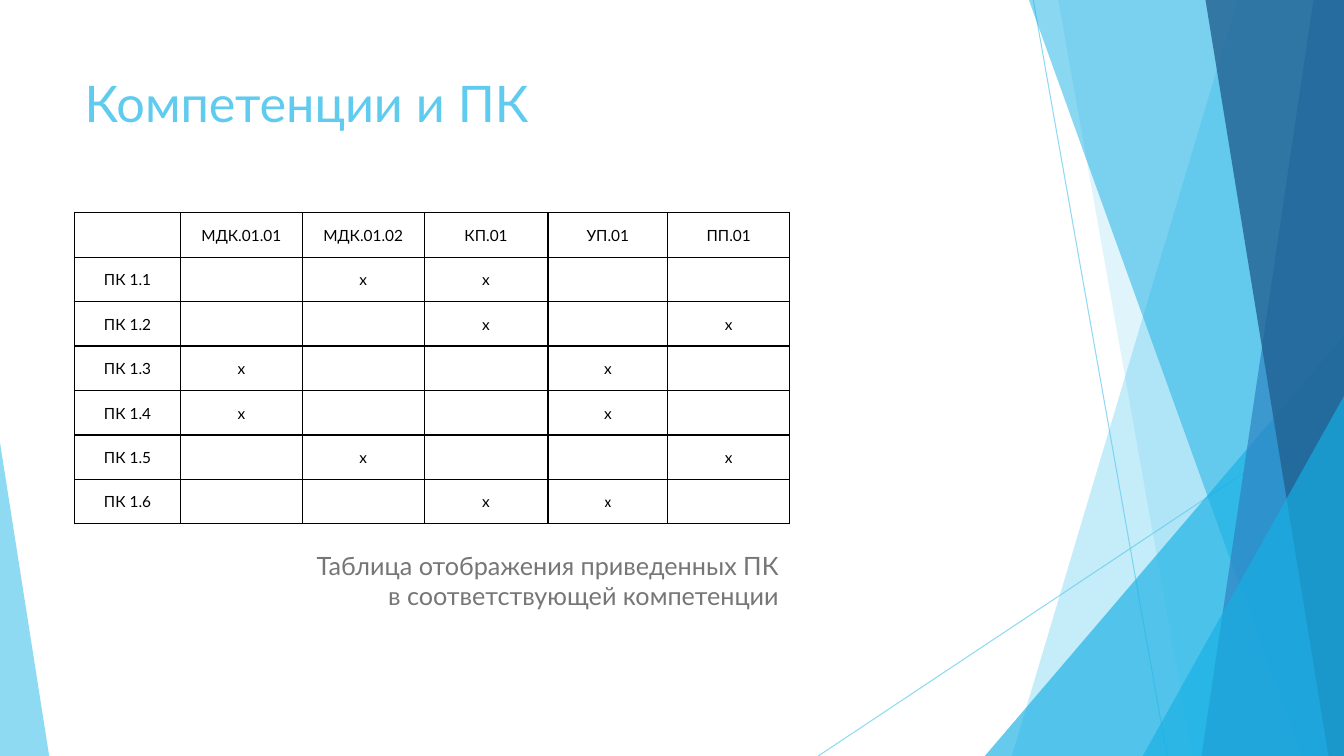
from dataclasses import dataclass

from lxml.etree import SubElement
from pptx import Presentation
from pptx.dml.color import RGBColor
from pptx.enum.shapes import MSO_CONNECTOR, MSO_SHAPE
from pptx.enum.text import MSO_ANCHOR, PP_ALIGN
from pptx.oxml.ns import qn
from pptx.util import Cm, Pt


@dataclass(frozen=True)
class Theme:
    sky: str = "5FCBEF"
    cyan: str = "17B0E4"
    blue: str = "2E83C3"
    navy: str = "226292"
    grey: str = "767676"
    black: str = "000000"
    white: str = "FFFFFF"
    font: str = "Lato"
    mark_font: str = "Calibri"
    title_size: int = 36
    caption_size: int = 18
    cell_size: int = 11


THEME = Theme()
WIDTH, HEIGHT = 33.87, 19.05

COURSES = ["МДК.01.01", "МДК.01.02", "КП.01", "УП.01", "ПП.01"]
COVERAGE = {
    "ПК 1.1": ["МДК.01.02", "КП.01"],
    "ПК 1.2": ["КП.01", "ПП.01"],
    "ПК 1.3": ["МДК.01.01", "УП.01"],
    "ПК 1.4": ["МДК.01.01", "УП.01"],
    "ПК 1.5": ["МДК.01.02", "ПП.01"],
    "ПК 1.6": ["КП.01", "УП.01"],
}
COLUMN_WIDTHS = [2.67, 3.07, 3.07, 3.12, 3.02, 3.07]
ROW_HEIGHT = 1.12


def set_opacity(fill, percent):
    """Add an alpha value to every colour found in a fill or line element."""
    for color in fill.iter(qn("a:srgbClr")):
        SubElement(color, qn("a:alpha"), val=str(percent * 1000))


def paint(shape, color, opacity):
    shape.shadow.inherit = False
    shape.line.fill.background()
    shape.fill.solid()
    shape.fill.fore_color.rgb = RGBColor.from_string(color)
    set_opacity(shape.fill._xPr, opacity)


def add_ray(slide, start, end):
    connector = slide.shapes.add_connector(
        MSO_CONNECTOR.STRAIGHT, *map(Cm, start), *map(Cm, end))
    connector.line.width = Pt(0.75)
    connector.line.color.rgb = RGBColor.from_string(THEME.sky)
    properties = connector.line._ln.getparent()
    set_opacity(properties, 70)
    SubElement(properties, qn("a:effectLst"))


def add_band(slide, top_left, bottom_left, color, opacity):
    """Add a full-height band that reaches the right edge of the slide."""
    builder = slide.shapes.build_freeform(Cm(top_left), 0)
    corners = [(WIDTH, 0), (WIDTH, HEIGHT), (bottom_left, HEIGHT)]
    builder.add_line_segments([(Cm(x), Cm(y)) for x, y in corners], close=True)
    paint(builder.convert_to_shape(), color, opacity)


def add_corner(slide, left, top, width, apex, color, opacity):
    """Add a triangle standing on the bottom edge of the slide."""
    triangle = slide.shapes.add_shape(
        MSO_SHAPE.ISOSCELES_TRIANGLE, Cm(left), Cm(top), Cm(width), Cm(HEIGHT - top))
    triangle.adjustments[0] = apex
    paint(triangle, color, opacity)


def add_decoration(slide):
    add_ray(slide, (26.04, 0), (29.41, HEIGHT))
    add_ray(slide, (WIDTH, 10.24), (20.62, HEIGHT))
    add_band(slide, 31.19, 25.5, THEME.sky, 36)
    add_band(slide, 26.67, 30.05, THEME.sky, 20)
    add_corner(slide, 24.82, 8.46, 9.05, 1, THEME.cyan, 66)
    add_band(slide, 25.93, 32.79, THEME.cyan, 50)
    add_band(slide, 33.1, 30.28, THEME.blue, 70)
    add_band(slide, 30.38, 33.48, THEME.navy, 80)
    add_corner(slide, 28.8, 9.98, 5.07, 1, THEME.cyan, 66)
    add_corner(slide, 0, 11.15, 1.24, 0, THEME.sky, 70)


def format_text(text_frame, size, color, alignment, font=THEME.font):
    for paragraph in text_frame.paragraphs:
        paragraph.alignment = alignment
        for run in paragraph.runs:
            run.font.name = font
            run.font.size = Pt(size)
            run.font.color.rgb = RGBColor.from_string(color)


def fill_title(slide, text):
    title = slide.shapes.title
    title.left, title.top, title.width, title.height = map(Cm, (1.88, 1.7, 23.88, 3.66))
    title.text_frame.text = text
    title.text_frame.vertical_anchor = MSO_ANCHOR.TOP
    format_text(title.text_frame, THEME.title_size, THEME.sky, PP_ALIGN.LEFT)


def add_borders(cell):
    properties = cell._tc.get_or_add_tcPr()
    for side in ("lnL", "lnR", "lnT", "lnB"):
        line = SubElement(properties, qn(f"a:{side}"), w=str(Pt(1)))
        SubElement(SubElement(line, qn("a:solidFill")), qn("a:srgbClr"), val=THEME.black)


def fill_cell(cell, text, font):
    cell.margin_left = cell.margin_right = cell.margin_top = Cm(0.02)
    cell.margin_bottom = 0
    cell.vertical_anchor = MSO_ANCHOR.MIDDLE
    add_borders(cell)
    cell.fill.solid()
    cell.fill.fore_color.rgb = RGBColor.from_string(THEME.white)
    cell.text_frame.text = text
    format_text(cell.text_frame, THEME.cell_size, THEME.black, PP_ALIGN.CENTER, font)


def add_coverage_table(slide):
    rows = [["", *COURSES]]
    for competence, covered in COVERAGE.items():
        rows.append([competence, *("х" if course in covered else "" for course in COURSES)])
    table = slide.shapes.add_table(
        len(rows), len(COLUMN_WIDTHS), Cm(1.88), Cm(5.36),
        Cm(sum(COLUMN_WIDTHS)), Cm(ROW_HEIGHT * len(rows))).table
    for column, width in zip(table.columns, COLUMN_WIDTHS):
        column.width = Cm(width)
    for row_index, texts in enumerate(rows):
        table.rows[row_index].height = Cm(ROW_HEIGHT)
        for column_index, text in enumerate(texts):
            is_last_mark = (texts[0], column_index) == ("ПК 1.6", 4)
            font = THEME.mark_font if is_last_mark else THEME.font
            fill_cell(table.cell(row_index, column_index), text, font)


def add_caption(slide, text):
    caption = slide.shapes.add_textbox(Cm(4.11), Cm(13.74), Cm(15.77), Cm(2.57))
    caption.text_frame.word_wrap = True
    caption.text_frame.text = text
    format_text(caption.text_frame, THEME.caption_size, THEME.grey, PP_ALIGN.RIGHT)


def main():
    presentation = Presentation()
    presentation.slide_width, presentation.slide_height = Cm(WIDTH), Cm(HEIGHT)
    title_only = presentation.slide_layouts[5]
    slide = presentation.slides.add_slide(title_only)
    add_decoration(slide)
    fill_title(slide, "Компетенции и ПК")
    add_coverage_table(slide)
    add_caption(slide, "Таблица отображения приведенных ПК\nв соответствующей компетенции")
    presentation.save("out.pptx")


if __name__ == "__main__":
    main()
